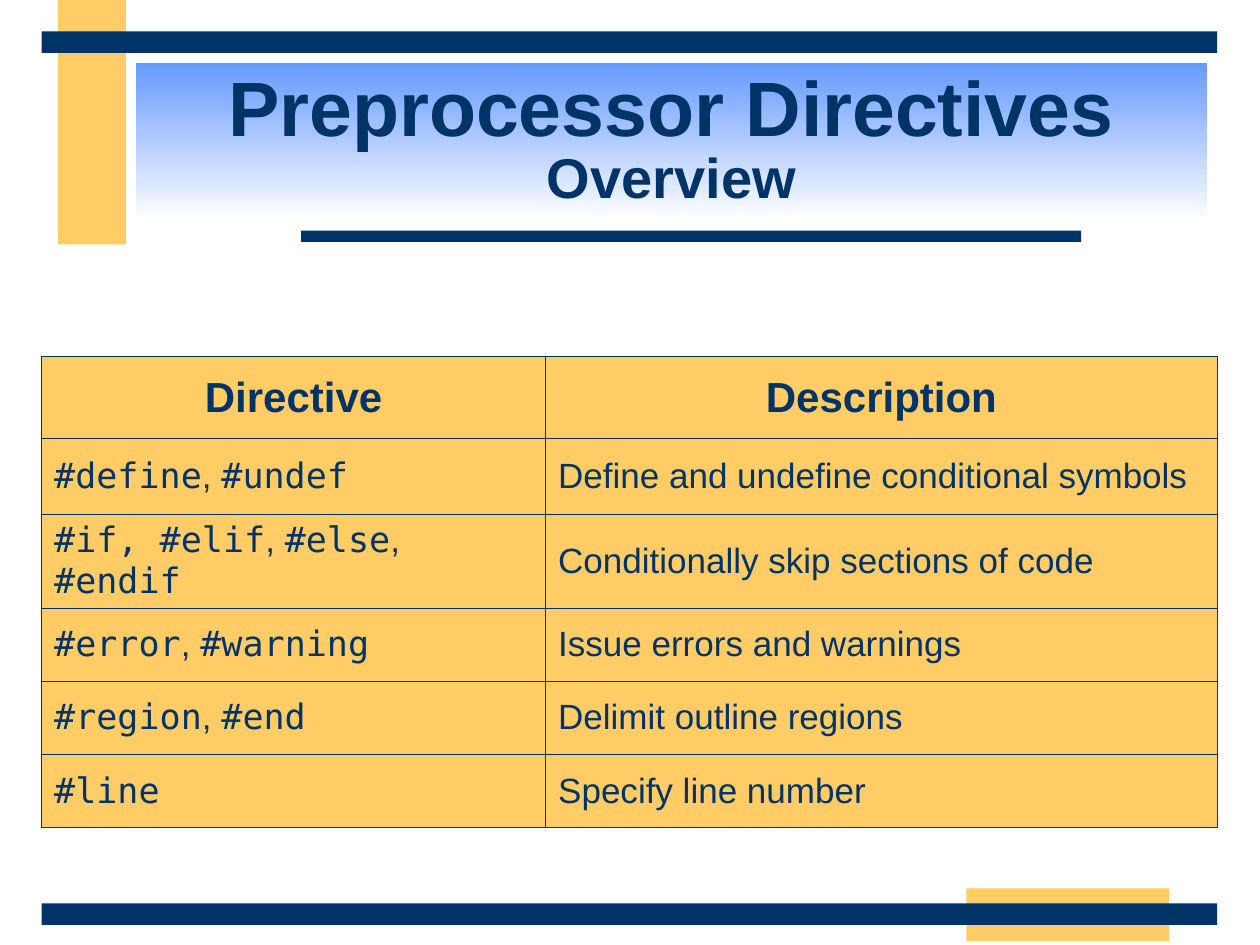
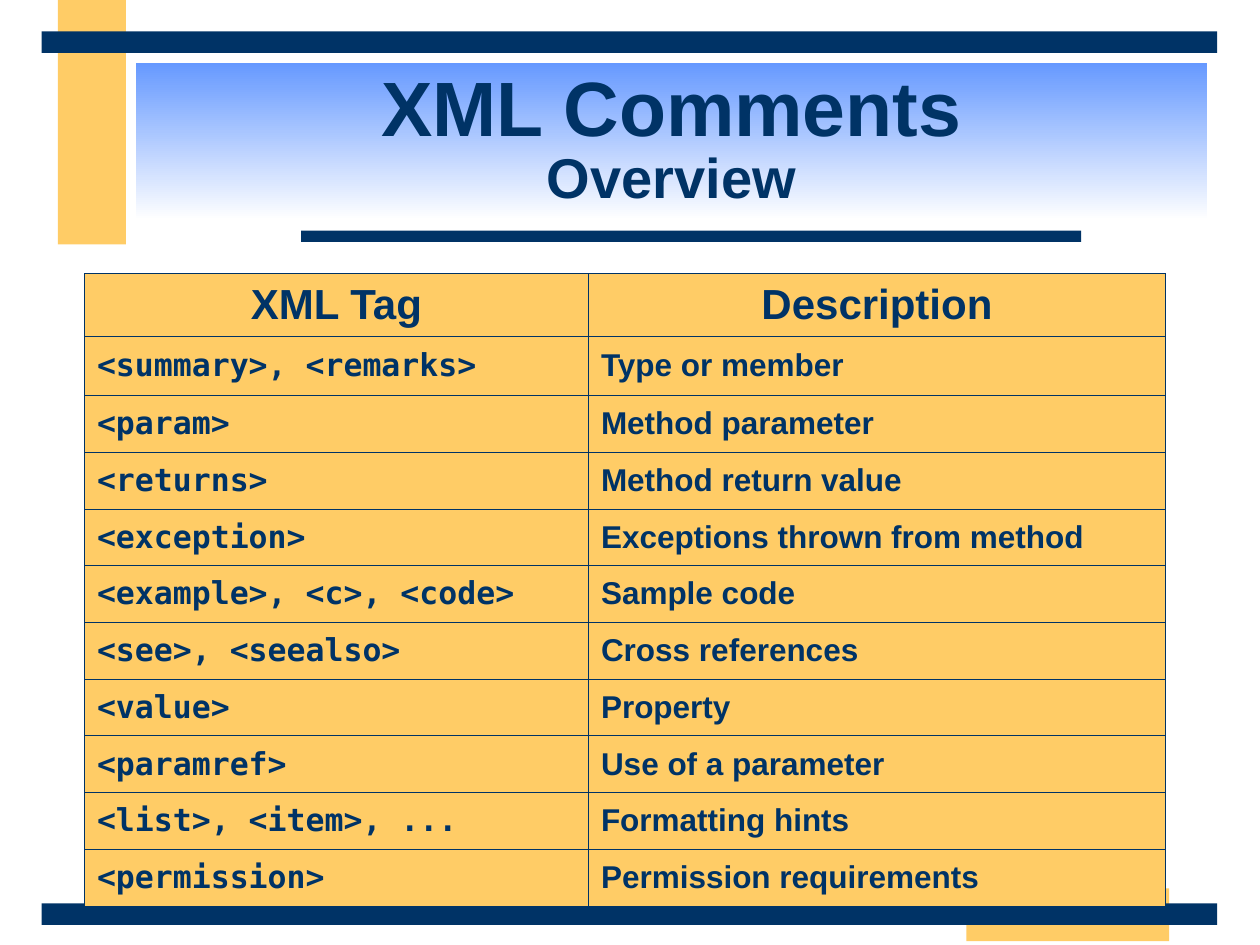
from lxml.etree import SubElement
from pptx import Presentation
from pptx.dml.color import RGBColor
from pptx.enum.shapes import MSO_SHAPE
from pptx.enum.text import MSO_ANCHOR, PP_ALIGN
from pptx.oxml.ns import qn
from pptx.util import Inches, Pt

NAVY, GOLD, SKY, WHITE = "003366", "FFCC66", "6699FF", "FFFFFF"
SANS, MONO = "Arial", "DejaVu Sans Mono"

# Bands on every slide, back to front: left, top, width, height, colour
BANDS = [
    (0.46, 0, 0.54, 1.94, GOLD),
    (7.67, 7.05, 1.61, 0.42, GOLD),
    (2.39, 1.83, 6.19, 0.09, NAVY),
    (0.33, 7.17, 9.33, 0.17, NAVY),
    (0.33, 0.25, 9.33, 0.17, NAVY),
]
TITLE_BOX = (1.08, 0.5, 8.5, 1.25)

# Each row holds its code words, which are joined by commas, and a description
SLIDES = [
    {
        "title": "Preprocessor Directives", "subtitle": "Overview",
        "left": 0.33, "top": 2.83, "columns": (4, 5.33),
        "header_height": 0.65, "first_height": 0.6, "row_height": 0.58,
        "size": 20, "bold": False, "space_before": 5,
        "header": ("Directive", "Description"),
        "rows": [
            (("#define", "#undef"), "Define and undefine conditional symbols"),
            (("#if, #elif", "#else", "#endif"), "Conditionally skip sections of code"),
            (("#error", "#warning"), "Issue errors and warnings"),
            (("#region", "#end"), "Delimit outline regions"),
            (("#line",), "Specify line number"),
        ],
    },
    {
        "title": "XML Comments", "subtitle": "Overview",
        "left": 0.67, "top": 2.17, "columns": (4, 4.58),
        "header_height": 0.5, "first_height": 0.47, "row_height": 0.45,
        "size": 18, "bold": True, "space_before": 4.5,
        "header": ("XML Tag", "Description"),
        "rows": [
            (("<summary>, <remarks>",), "Type or member"),
            (("<param>",), "Method parameter"),
            (("<returns>",), "Method return value"),
            (("<exception>",), "Exceptions thrown from method"),
            (("<example>, <c>, <code>",), "Sample code"),
            (("<see>, <seealso>",), "Cross references"),
            (("<value>",), "Property"),
            (("<paramref>",), "Use of a parameter"),
            (("<list>, <item>, ...",), "Formatting hints"),
            (("<permission>",), "Permission requirements"),
        ],
    },
]


def color(value):
    return RGBColor.from_string(value)


def add_run(paragraph, text, size, font=SANS, bold=True):
    run = paragraph.add_run()
    run.text = text
    run.font.name = font
    run.font.size = Pt(size)
    run.font.bold = bold
    run.font.color.rgb = color(NAVY)


def add_rectangle(slide, left, top, width, height):
    shape = slide.shapes.add_shape(
        MSO_SHAPE.RECTANGLE, Inches(left), Inches(top), Inches(width), Inches(height))
    shape.shadow.inherit = False
    shape.line.fill.background()
    return shape


def add_bands(slide):
    for *box, fill in BANDS:
        band = add_rectangle(slide, *box)
        band.fill.solid()
        band.fill.fore_color.rgb = color(fill)


def add_title(slide, title, subtitle):
    shape = add_rectangle(slide, *TITLE_BOX)
    shape.fill.gradient()
    shape.fill.gradient_angle = 270
    for stop, shade in zip(shape.fill.gradient_stops, (SKY, WHITE)):
        stop.color.rgb = color(shade)
    frame = shape.text_frame
    frame.word_wrap = True
    frame.vertical_anchor = MSO_ANCHOR.MIDDLE
    paragraph = frame.paragraphs[0]
    paragraph.alignment = PP_ALIGN.CENTER
    paragraph.line_spacing = 0.85
    add_run(paragraph, title, 44)
    paragraph.add_line_break()
    add_run(paragraph, subtitle, 32)


def style_cell(cell):
    # Borders come before the fill in the cell properties
    properties = cell._tc.get_or_add_tcPr()
    for side in ("a:lnL", "a:lnR", "a:lnT", "a:lnB"):
        line = SubElement(properties, qn(side), w=str(Pt(0.45)))
        SubElement(SubElement(line, qn("a:solidFill")), qn("a:srgbClr"), val=NAVY)
    cell.fill.solid()
    cell.fill.fore_color.rgb = color(GOLD)
    cell.vertical_anchor = MSO_ANCHOR.MIDDLE


def start_cell(cell, space_before, alignment):
    style_cell(cell)
    paragraph = cell.text_frame.paragraphs[0]
    paragraph.space_before = Pt(space_before)
    paragraph.alignment = alignment
    return paragraph


def add_reference_table(slide, content):
    rows, columns = content["rows"], content["columns"]
    heights = [content["header_height"], content["first_height"]]
    heights += [content["row_height"]] * (len(rows) - 1)
    table = slide.shapes.add_table(
        len(heights), len(columns), Inches(content["left"]), Inches(content["top"]),
        Inches(sum(columns)), Inches(sum(heights))).table
    table.first_row = table.horz_banding = False
    for column, width in zip(table.columns, columns):
        column.width = Inches(width)
    for row, height in zip(table.rows, heights):
        row.height = Inches(height)

    # Header row
    for index, heading in enumerate(content["header"]):
        add_run(start_cell(table.cell(0, index), 6, PP_ALIGN.CENTER), heading, 24)

    # Code words and their descriptions
    size, bold = content["size"], content["bold"]
    for index, (codes, description) in enumerate(rows, start=1):
        code_text, description_text = (
            start_cell(table.cell(index, column), content["space_before"], PP_ALIGN.LEFT)
            for column in range(2))
        for position, code in enumerate(codes):
            if position:
                add_run(code_text, ", ", size, SANS, bold)
            add_run(code_text, code, size, MONO, bold)
        add_run(description_text, description, size, SANS, bold)


def main():
    presentation = Presentation()
    presentation.slide_width, presentation.slide_height = Inches(10), Inches(7.5)
    for content in SLIDES:
        slide = presentation.slides.add_slide(presentation.slide_layouts[6])
        add_bands(slide)
        add_title(slide, content["title"], content["subtitle"])
        add_reference_table(slide, content)
    presentation.save("out.pptx")


if __name__ == "__main__":
    main()
